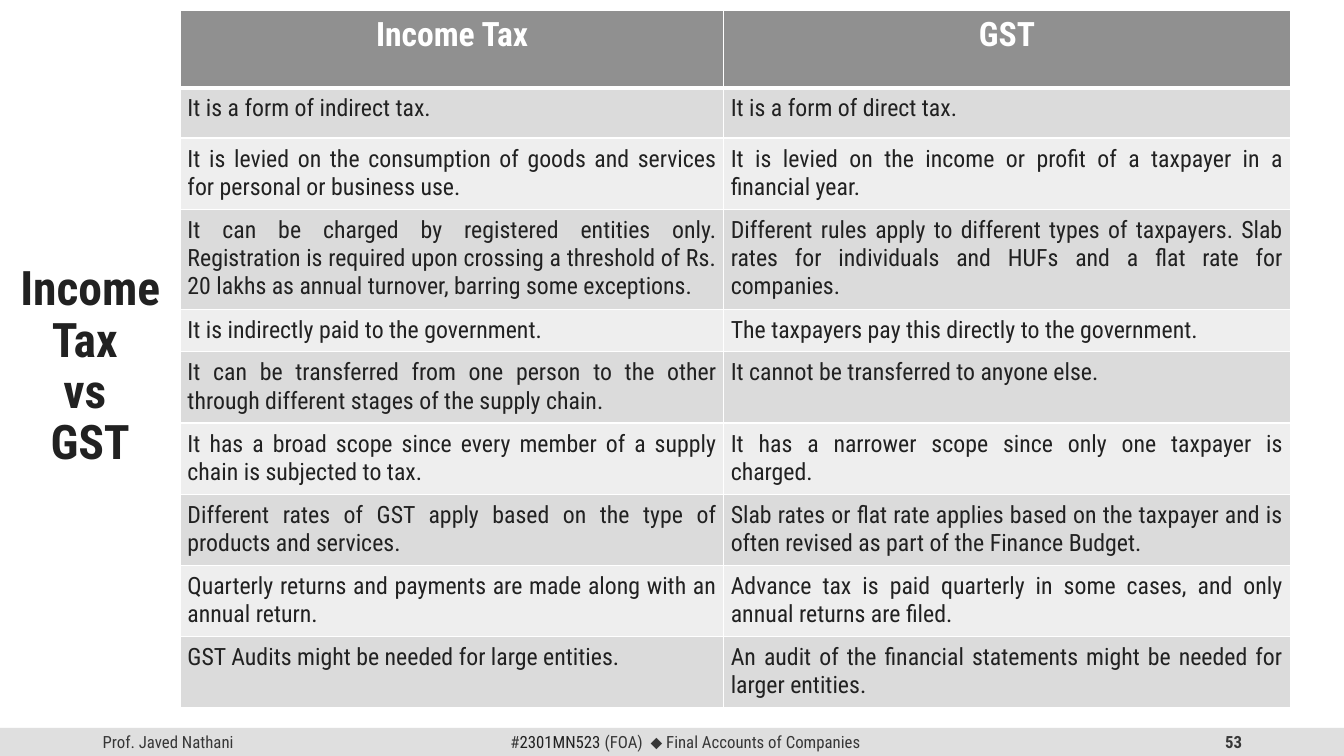
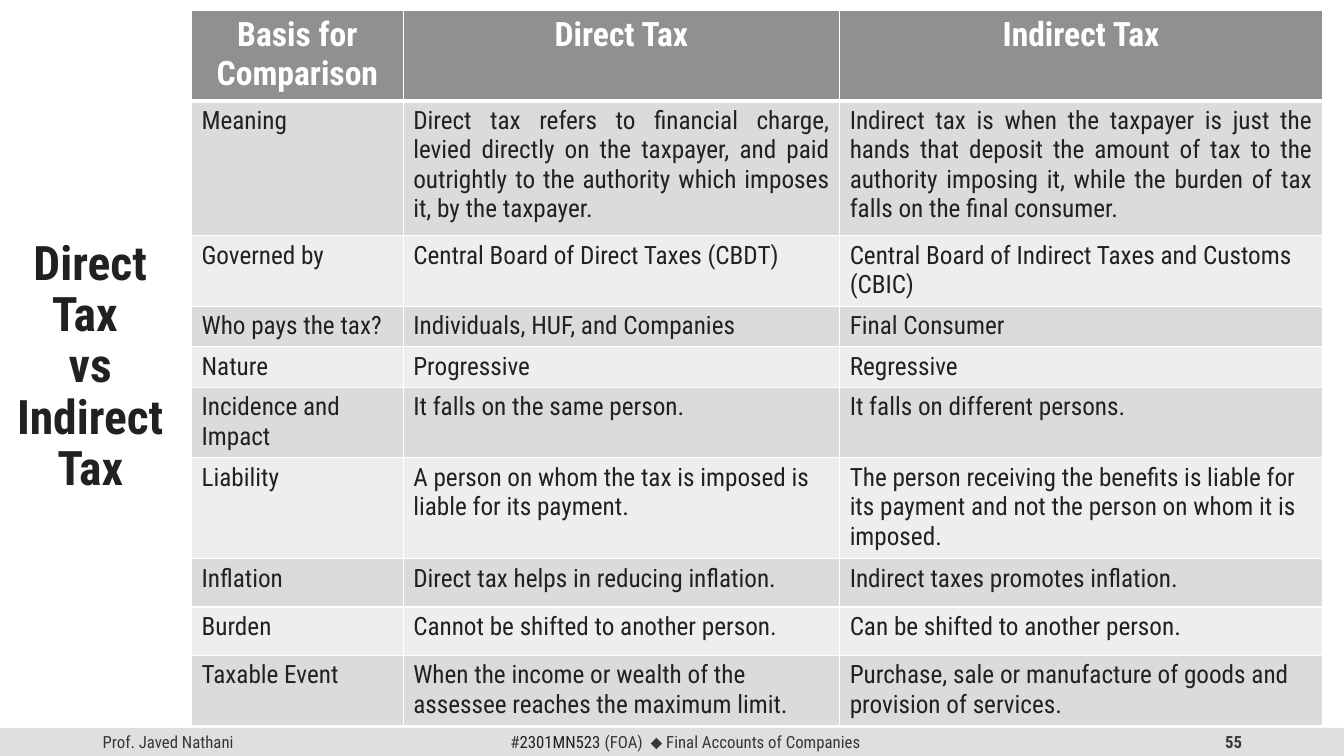
import dataclasses
import lxml.etree
import pptx
import pptx.dml.color
import pptx.enum.shapes
import pptx.enum.text
import pptx.oxml.ns
import pptx.util

ALIGN = pptx.enum.text.PP_ALIGN
MIDDLE = pptx.enum.text.MSO_ANCHOR.MIDDLE
qn = pptx.oxml.ns.qn


@dataclasses.dataclass(frozen=True)
class Theme:
    font: str = "Roboto Condensed"
    mark: str = "Arial"
    ink: str = "212121"
    soft: str = "373737"
    white: str = "FFFFFF"
    head: str = "909090"
    bands: tuple = ("DBDBDB", "EEEEEE")
    bar: str = "DFDFDF"
    title: int = 34
    top: int = 24
    foot: int = 12


def cells(count):
    return pptx.util.Inches(count / 10)


def color(code):
    return pptx.dml.color.RGBColor.from_string(code)


class Deck:
    WIDE, HIGH = 133.33, 75
    BAR_TOP, BAR_HIGH = 72.2, 2.8

    def __init__(self, theme):
        self.theme = theme
        self.file = pptx.Presentation()
        self.file.slide_width = cells(self.WIDE)
        self.file.slide_height = cells(self.HIGH)
        self.slide = None

    def start(self, title, page):
        self.slide = self.file.slides.add_slide(self.file.slide_layouts[5])
        self.footer(page)
        self.title(title)

    def style(self, run, size, ink, bold=False, font=None):
        run.font.name = font or self.theme.font
        run.font.size = pptx.util.Pt(size)
        run.font.bold = bold
        run.font.color.rgb = color(ink)

    def title(self, text):
        shape = self.slide.shapes.title
        shape.left, shape.top = cells(0), cells(0)
        shape.width, shape.height = cells(17.9), cells(72.9)
        frame = shape.text_frame
        frame.word_wrap = True
        frame.auto_size = pptx.enum.text.MSO_AUTO_SIZE.NONE
        frame.vertical_anchor = MIDDLE
        para = frame.paragraphs[0]
        para.text = text
        para.alignment = ALIGN.CENTER
        para.line_spacing = 0.9
        for run in para.runs:
            self.style(run, self.theme.title, self.theme.ink, True)

    def note(self, left, width, align, parts):
        box = self.slide.shapes.add_textbox(
            cells(left), cells(self.BAR_TOP), cells(width), cells(self.BAR_HIGH))
        frame = box.text_frame
        frame.word_wrap = True
        frame.vertical_anchor = MIDDLE
        para = frame.paragraphs[0]
        para.alignment = align
        for text, look in parts:
            run = para.add_run()
            run.text = text
            self.style(run, self.theme.foot, **{"ink": self.theme.soft, **look})

    def footer(self, page):
        bar = self.slide.shapes.add_shape(
            pptx.enum.shapes.MSO_SHAPE.ROUNDED_RECTANGLE, cells(0),
            cells(self.BAR_TOP), cells(self.WIDE), cells(self.BAR_HIGH))
        bar.adjustments[0] = 0
        bar.shadow.inherit = False
        bar.fill.solid()
        bar.fill.fore_color.rgb = color(self.theme.bar)
        bar.line.fill.background()
        self.note(9.2, 30, ALIGN.LEFT, [("Prof. Javed Nathani", {})])
        self.note(94.2, 30, ALIGN.RIGHT, [(str(page), {"bold": True})])
        self.note(41.8, 52.4, ALIGN.CENTER, [
            ("#", {}),
            ("2301MN523 ", {"ink": self.theme.ink}),
            ("(FOA)  ", {}),
            ("⬥", {"font": self.theme.mark}),
            (" Final Accounts of Companies", {}),
        ])

    def edge(self, cell, side, width):
        props = cell._tc.get_or_add_tcPr()
        line = lxml.etree.SubElement(
            props, qn(f"a:ln{side}"), w=str(pptx.util.Pt(width)))
        fill = lxml.etree.SubElement(line, qn("a:solidFill"))
        lxml.etree.SubElement(fill, qn("a:srgbClr"), val=self.theme.white)

    def cell(self, cell, text, row, size, align, inset):
        head = row == 0
        for side in "LRTB":
            thick = (row, side) in ((0, "B"), (1, "T"))
            self.edge(cell, side, 3 if thick else 1)
        cell.fill.solid()
        cell.fill.fore_color.rgb = color(
            self.theme.head if head else self.theme.bands[(row - 1) % 2])
        if inset and not head:
            cell.margin_left = cell.margin_right = cells(inset)
            cell.margin_top = cell.margin_bottom = cells(inset)
        para = cell.text_frame.paragraphs[0]
        para.text = text
        para.alignment = ALIGN.CENTER if head else align
        ink = self.theme.white if head else self.theme.ink
        for run in para.runs:
            self.style(run, self.theme.top if head else size, ink, head)

    def table(self, left, cols, rows, data, size, just, inset=None):
        grid = self.slide.shapes.add_table(
            len(rows), len(cols), cells(left), cells(1),
            cells(sum(cols)), cells(sum(rows))).table
        grid.horz_banding = False
        for col, width in zip(grid.columns, cols):
            col.width = cells(width)
        for num, (row, high, texts) in enumerate(zip(grid.rows, rows, data)):
            row.height = cells(high)
            align = ALIGN.JUSTIFY if num <= just else ALIGN.LEFT
            for cell, text in zip(row.cells, texts):
                self.cell(cell, text, num, size, align, inset)


GST = [
    ("Income Tax", "GST"),
    ("It is a form of indirect tax.", "It is a form of direct tax."),
    ("It is levied on the consumption of goods and services for personal or business use.",
     "It is levied on the income or profit of a taxpayer in a financial year."),
    ("It can be charged by registered entities only. Registration is required upon "
     "crossing a threshold of Rs. 20 lakhs as annual turnover, barring some exceptions.",
     "Different rules apply to different types of taxpayers. Slab rates for "
     "individuals and HUFs and a flat rate for companies."),
    ("It is indirectly paid to the government.",
     "The taxpayers pay this directly to the government."),
    ("It can be transferred from one person to the other through different stages "
     "of the supply chain.",
     "It cannot be transferred to anyone else."),
    ("It has a broad scope since every member of a supply chain is subjected to tax.",
     "It has a narrower scope since only one taxpayer is charged."),
    ("Different rates of GST apply based on the type of products and services.",
     "Slab rates or flat rate applies based on the taxpayer and is often revised "
     "as part of the Finance Budget."),
    ("Quarterly returns and payments are made along with an annual return.",
     "Advance tax is paid quarterly in some cases, and only annual returns are filed."),
    ("GST Audits might be needed for large entities.",
     "An audit of the financial statements might be needed for larger entities."),
]

DIRECT = [
    ("Basis for Comparison", "Direct Tax", "Indirect Tax"),
    ("Meaning",
     "Direct tax refers to financial charge, levied directly on the taxpayer, and paid "
     "outrightly to the authority which imposes it, by the taxpayer.",
     "Indirect tax is when the taxpayer is just the hands that deposit the amount of tax "
     "to the authority imposing it, while the burden of tax falls on the final consumer."),
    ("Governed by", "Central Board of Direct Taxes (CBDT)",
     "Central Board of Indirect Taxes and Customs (CBIC)"),
    ("Who pays the tax?", "Individuals, HUF, and Companies", "Final Consumer"),
    ("Nature", "Progressive", "Regressive"),
    ("Incidence and Impact", "It falls on the same person.",
     "It falls on different persons."),
    ("Liability", "A person on whom the tax is imposed is liable for its payment.",
     "The person receiving the benefits is liable for its payment and not the person "
     "on whom it is imposed."),
    ("Inflation", "Direct tax helps in reducing inflation.",
     "Indirect taxes promotes inflation."),
    ("Burden", "Cannot be shifted to another person.",
     "Can be shifted to another person."),
    ("Taxable Event",
     "When the income or wealth of the assessee reaches the maximum limit.",
     "Purchase, sale or manufacture of goods and provision of services."),
]


def main():
    deck = Deck(Theme())
    deck.start("Income Tax \nvs \nGST", 53)
    deck.table(17.9, [53.9, 56.2],
               [7.7, 5, 6.6, 9.5, 3.9, 6.6, 6.5, 6.6, 6.6, 6.6],
               GST, size=17, just=9, inset=0.7)
    deck.start("Direct Tax \nvs Indirect Tax", 55)
    deck.table(19, [21, 43.3, 47.9],
               [8.7, 13.4, 6.8, 3.9, 4, 6.8, 9.7, 4.8, 4.8, 6.8],
               DIRECT, size=18, just=1)
    deck.file.save("out.pptx")


if __name__ == "__main__":
    main()
